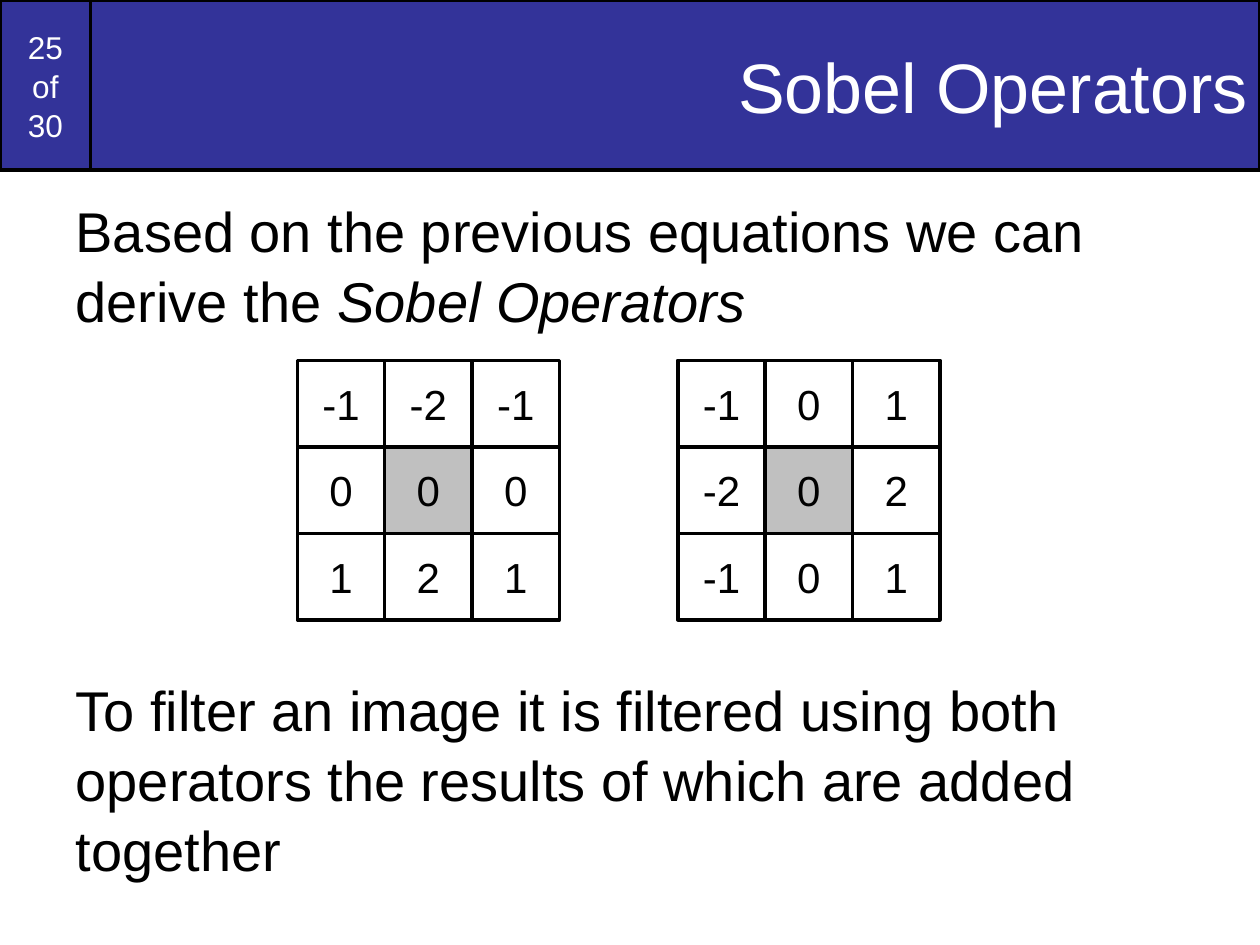
from dataclasses import dataclass

import pptx
import pptx.dml.color
import pptx.enum.shapes
import pptx.enum.text
import pptx.oxml.xmlchemy
import pptx.util
from lxml import etree

Inches, Pt = pptx.util.Inches, pptx.util.Pt
Align, Anchor = pptx.enum.text.PP_ALIGN, pptx.enum.text.MSO_ANCHOR
RECTANGLE = pptx.enum.shapes.MSO_SHAPE.RECTANGLE
DRAWING = "http://schemas.openxmlformats.org/drawingml/2006/main"


@dataclass(frozen=True)
class Theme:
    font: str = "Arial"
    banner: str = "333399"
    ink: str = "000000"
    paper: str = "FFFFFF"
    centre_cell: str = "C0C0C0"
    title_size: int = 40
    body_size: int = 32
    cell_size: int = 24
    badge_size: int = 18
    line_width: int = 2
    line_spacing: float = 1.04


THEME = Theme()


def rgb(value):
    return pptx.dml.color.RGBColor.from_string(value)


def place(shape, box):
    shape.left, shape.top, shape.width, shape.height = map(Inches, box)


def paint(shape, fill):
    shape.fill.solid()
    shape.fill.fore_color.rgb = rgb(fill)
    shape.line.color.rgb = rgb(THEME.ink)
    shape.line.width = Pt(THEME.line_width)


def style(paragraph, size, color, align):
    paragraph.alignment = align
    paragraph.font.name = THEME.font
    paragraph.font.size = Pt(size)
    paragraph.font.color.rgb = rgb(color)


def label_box(shapes, box, text, fill, size, color):
    """Add an outlined rectangle with centred text."""
    shape = shapes.add_shape(RECTANGLE, *map(Inches, box))
    shape.shadow.inherit = False
    paint(shape, fill)
    shape.text_frame.vertical_anchor = Anchor.MIDDLE
    shape.text_frame.text = text
    style(shape.text_frame.paragraphs[0], size, color, Align.CENTER)
    return shape


def add_banner(slide, box, badge_width, title_text, page_text):
    left, top, width, height = box
    # Page counter
    badge = label_box(slide.shapes, (left, top, badge_width, height), page_text,
                      THEME.banner, THEME.badge_size, THEME.paper)
    badge.text_frame.paragraphs[0].line_spacing = THEME.line_spacing

    # Title
    title = slide.shapes.title
    place(title, (left + badge_width, top, width - badge_width, height))
    paint(title, THEME.banner)
    title.text_frame.auto_size = pptx.enum.text.MSO_AUTO_SIZE.NONE
    title.text_frame.vertical_anchor = Anchor.MIDDLE
    title.text_frame.text = title_text
    style(title.text_frame.paragraphs[0], THEME.title_size, THEME.paper, Align.RIGHT)


def add_body(slide, box, paragraphs, gap):
    """Fill the body; each paragraph is a list of (text, italic) runs."""
    body = slide.placeholders[1]
    place(body, box)
    frame = body.text_frame
    frame.auto_size = pptx.enum.text.MSO_AUTO_SIZE.NONE
    frame.margin_top = Inches(0.08)
    for index, runs in enumerate(paragraphs):
        paragraph = frame.add_paragraph() if index else frame.paragraphs[0]
        paragraph.space_before = Pt(gap if index else 0)
        paragraph.line_spacing = THEME.line_spacing
        # No bullet or hanging indent
        properties = paragraph._p.get_or_add_pPr()
        properties.set("marL", "0")
        properties.set("indent", "0")
        etree.SubElement(properties, f"{{{DRAWING}}}buNone")
        style(paragraph, THEME.body_size, THEME.ink, Align.LEFT)
        for text, italic in runs:
            run = paragraph.add_run()
            run.text = text
            if italic:
                run.font.italic = True


def add_operator(slide, box, weights):
    """Draw a filter mask as a grid with its centre cell shaded."""
    left, top, width, height = box
    cell_width, cell_height = width / len(weights[0]), height / len(weights)
    centre = (len(weights) // 2, len(weights[0]) // 2)
    mask = slide.shapes.add_group_shape()
    for row, values in enumerate(weights):
        for column, value in enumerate(values):
            fill = THEME.centre_cell if (row, column) == centre else THEME.paper
            cell_box = (left + column * cell_width, top + row * cell_height,
                        cell_width, cell_height)
            cell = label_box(mask.shapes, cell_box, str(value), fill,
                             THEME.cell_size, THEME.ink)
            cell.text_frame.word_wrap = False


def main():
    presentation = pptx.Presentation()
    presentation.slide_width, presentation.slide_height = Inches(10), Inches(7.5)
    slide = presentation.slides.add_slide(presentation.slide_layouts[1])

    add_banner(slide, (0, 0, 10, 1.35), 0.72, "Sobel Operators", "25\vof\v30")
    add_body(slide, (0.5, 1.46, 9.5, 6.04), [
        [("Based on the previous equations we can derive the ", False),
         ("Sobel Operators", True)],
        [("To filter an image it is filtered using both operators "
          "the results of which are added together", False)],
    ], gap=194)

    # The two masks share one row
    operators = [
        [(-1, -2, -1), (0, 0, 0), (1, 2, 1)],
        [(-1, 0, 1), (-2, 0, 2), (-1, 0, 1)],
    ]
    for index, weights in enumerate(operators):
        add_operator(slide, (2.36 + index * 3.02, 2.86, 2.08, 2.06), weights)

    presentation.save("out.pptx")


if __name__ == "__main__":
    main()
